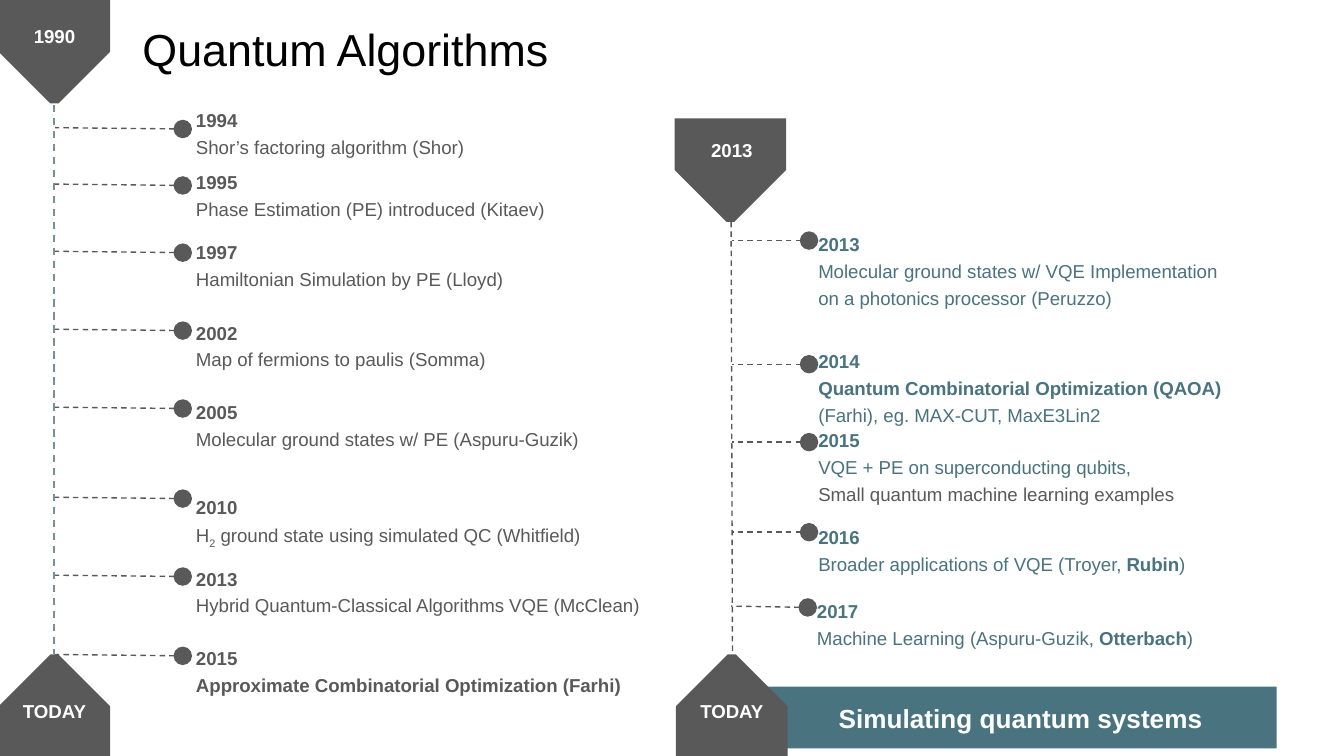
from lxml.etree import SubElement as Sub
from pptx import Presentation
from pptx.dml.color import RGBColor
from pptx.enum.dml import MSO_LINE_DASH_STYLE as Dash
from pptx.enum.shapes import MSO_CONNECTOR as Conn, MSO_SHAPE as Kind
from pptx.enum.text import MSO_ANCHOR as Anchor, PP_ALIGN as Align
from pptx.oxml.ns import qn
from pptx.util import Pt

SCALE = 9144
GREY, TEAL, SLATE, WHITE, BLACK = "595959", "48737F", "78909C", "FFFFFF", "000000"

TITLE = "Quantum Algorithms"
BANNER = "Simulating quantum systems"

LEFT = [
    ("1994", (136, 73, 358, 46), (96, 95), [[("Shor’s factoring algorithm (Shor)", "")]]),
    ("1995", (136, 119, 358, 46), (138, 137), [[
        ("Phase Estimation (PE) introduced (Kitaev)", "")]]),
    ("1997", (136, 171, 381, 59), (188, 187), [[
        ("Hamiltonian Simulation by PE (Lloyd)", "")]]),
    ("2002", (136, 231, 381, 46), (246, 245), [[("Map of fermions to paulis (Somma)", "")]]),
    ("2005", (136, 290, 381, 46), (304, 303), [[
        ("Molecular ground states w/ PE (Aspuru-Guzik)", "")]]),
    ("2010", (136, 361, 381, 46), (371, 370), [[
        ("H", ""), ("2", "sub"),
        (" ground state using simulated QC (Whitfield)", "")]]),
    ("2013", (136, 414, 381, 46), (429, 428), [[
        ("Hybrid Quantum-Classical Algorithms VQE (McClean)", "")]]),
    ("2015", (136, 473, 381, 46), (488, 487), [[
        ("Approximate Combinatorial Optimization (Farhi)", "bold")]]),
]
RIGHT = [
    ("2013", (599, 165, 330, 88), (179, 179), [[
        ("Molecular ground states w/ VQE Implementation "
         "on a photonics processor (Peruzzo)", "")]]),
    ("2014", (599, 252, 325, 70), (271, 271), [[
        ("Quantum Combinatorial Optimization (QAOA) ", "bold"),
        ("(Farhi), eg. MAX-CUT, MaxE3Lin2", "")]]),
    ("2015", (599, 311, 309, 92), (329, 329), [
        [("VQE + PE on superconducting qubits,", "")],
        [("Small quantum machine learning examples", "grey")]]),
    ("2016", (599, 383, 309, 46), (396, 396), [[
        ("Broader applications of VQE (Troyer, ", ""), ("Rubin", "bold"), (")", "")]]),
    ("2017", (598, 438, 309, 46), (452, 451), [[
        ("Machine Learning (Aspuru-Guzik, ", ""), ("Otterbach", "bold"), (")", "")]]),
]

LEFT_ENDS = [("1990", -5, 6, -1, 0, 180), ("TODAY", -5, 508, -1, 487, 0)]
RIGHT_ENDS = [("2013", 499, 91, 502, 88, 180), ("TODAY", 499, 508, 503, 487, 0)]

LEFT_AXIS = {"span": (40, 1, 40, 487), "color": SLATE, "weight": 1, "dot": 0, "stem": -95}
RIGHT_AXIS = {"span": (544, 165, 545, 487), "color": GREY, "weight": 0.75,
              "dot": 3, "stem": -54}


def px(*nums):
    return [n * SCALE for n in nums]


def rgb(code):
    return RGBColor.from_string(code)


def add_run(para, text, size, color, bold=False):
    run = para.add_run()
    run.text = text
    font = run.font
    font.name, font.size, font.bold = "Arial", Pt(size), bold
    font.color.rgb = rgb(color)
    return run


def inset(frame, side, top):
    frame.word_wrap = True
    frame.margin_left = frame.margin_right = side * SCALE
    frame.margin_top = frame.margin_bottom = top * SCALE


def add_box(slide, *at):
    frame = slide.shapes.add_textbox(*px(*at)).text_frame
    inset(frame, 10, 5)
    return frame


def add_solid(slide, kind, color, *at):
    shape = slide.shapes.add_shape(kind, *px(*at))
    shape.shadow.inherit = False
    shape.fill.solid()
    shape.fill.fore_color.rgb = rgb(color)
    shape.line.fill.background()
    return shape


def center(frame, text, size):
    frame.vertical_anchor = Anchor.MIDDLE
    para = frame.paragraphs[0]
    para.alignment = Align.CENTER
    add_run(para, text, size, WHITE, True)


def add_dash(slide, ends, color, weight, dot=False):
    link = slide.shapes.add_connector(Conn.STRAIGHT, *px(*ends))
    line = link.line
    line.color.rgb = rgb(color)
    line.width = Pt(weight)
    line.dash_style = Dash.DASH
    props = link._element.spPr
    if dot:
        Sub(props.find(qn("a:ln")), qn("a:headEnd"), type="oval", w="lg", len="lg")
    Sub(props, qn("a:effectLst"))


def add_end(slide, label, x, y, left, top, turn):
    shape = add_solid(slide, Kind.SNIP_2_SAME_RECTANGLE, GREY, left, top, 83, 77)
    shape.adjustments[0], shape.adjustments[1] = 0.5, 0
    shape.rotation = turn
    center(add_box(slide, x, y, 91, 42), label, 10)


def add_event(slide, year, at, paras, color):
    frame = add_box(slide, *at)
    for i, runs in enumerate([[(year, "bold")]] + paras):
        para = frame.add_paragraph() if i else frame.paragraphs[0]
        para.line_spacing = 1.2
        for text, style in runs:
            tint = GREY if style == "grey" else color
            run = add_run(para, text, 10, tint, style == "bold")
            if style == "sub":
                run._r.get_or_add_rPr().set("baseline", "-25000")


def add_line(slide, axis, ends, events, color):
    add_dash(slide, axis["span"], axis["color"], axis["weight"])
    for end in ends:
        add_end(slide, *end)
    for year, at, _, paras in events:
        add_event(slide, year, at, paras, color)
    for _, at, (near, far), _ in events:
        stem = (at[0] + axis["dot"], near, at[0] + axis["stem"], far)
        add_dash(slide, stem, GREY, 0.75, True)


def main():
    deck = Presentation()
    deck.slide_width = 1000 * SCALE
    deck.slide_height = deck.slide_width * 9 // 16
    slide = deck.slides.add_slide(deck.slide_layouts[5])

    title = slide.shapes.title
    title.left, title.top, title.width, title.height = px(96, 11, 516, 53)
    frame = title.text_frame
    inset(frame, 10, 10)
    frame.vertical_anchor = Anchor.TOP
    para = frame.paragraphs[0]
    para.alignment = Align.LEFT
    para.line_spacing = 0.9
    add_run(para, TITLE, 24, BLACK)

    banner = add_solid(slide, Kind.RECTANGLE, TEAL, 569, 511, 381, 46)
    inset(banner.text_frame, 10, 10)
    center(banner.text_frame, BANNER, 14)

    add_line(slide, LEFT_AXIS, LEFT_ENDS, LEFT, GREY)
    add_line(slide, RIGHT_AXIS, RIGHT_ENDS, RIGHT, TEAL)
    deck.save("out.pptx")


if __name__ == "__main__":
    main()
